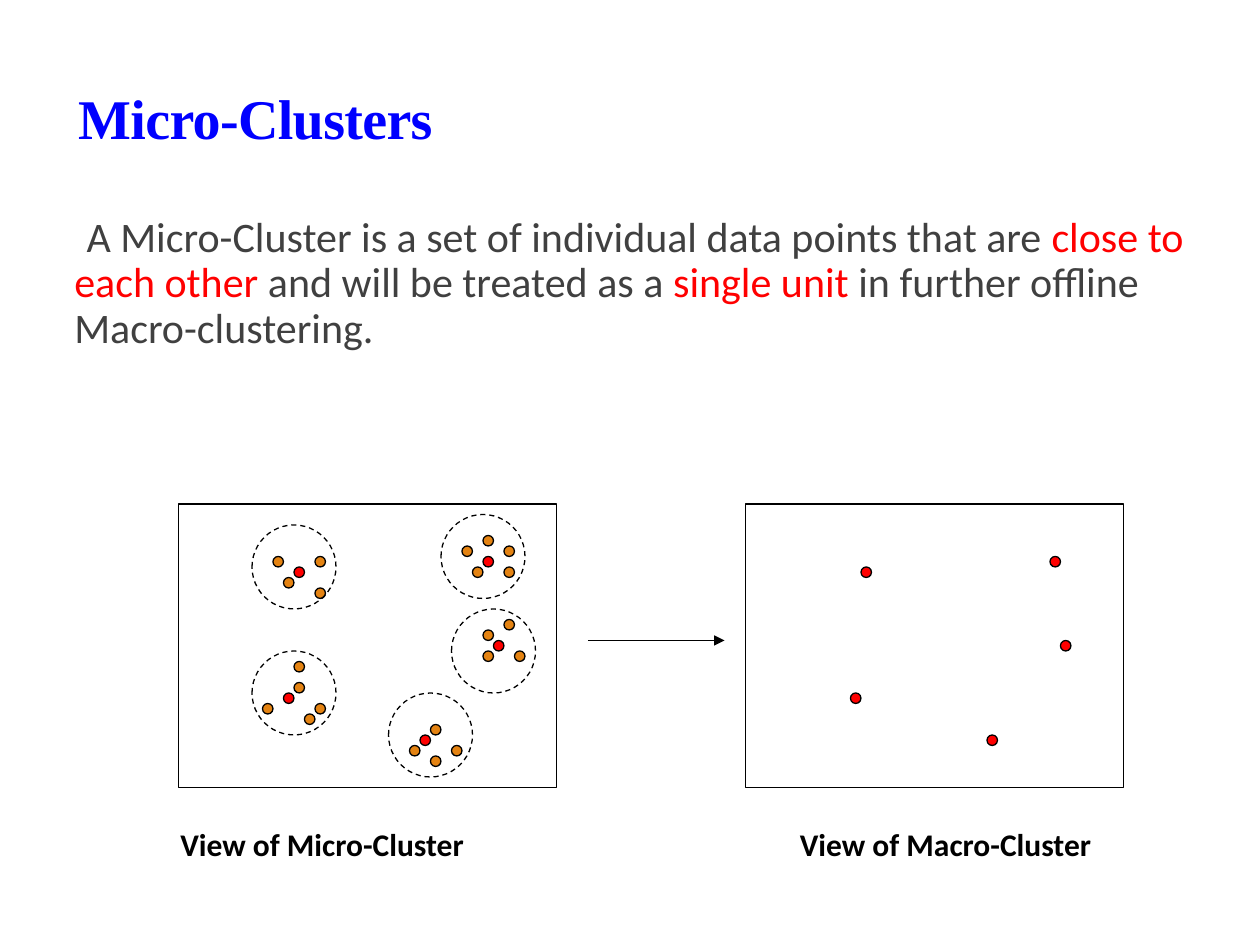
from dataclasses import dataclass

from lxml import etree
from pptx import Presentation
from pptx.dml.color import RGBColor
from pptx.enum import dml, shapes, text
from pptx.oxml import ns
from pptx.util import Pt


@dataclass(frozen=True)
class Theme:
    blue: str = "0000FF"
    red: str = "FF0000"
    amber: str = "E48312"
    gray: str = "404040"
    black: str = "000000"
    serif: str = "Times New Roman"
    sans: str = "Calibri"
    head: float = 32
    body: float = 24
    label: float = 18
    line: float = 0.75


THEME = Theme()
UNIT = 6  # grid step inside a panel, also the size of a dot
RING = 8 * UNIT
PANEL = (216, 162)

# ring corner, centre dot, data points: column and row on the panel grid
CLUSTERS = [
    ((7, 2), (11, 6), [(9, 5), (13, 5), (10, 7), (13, 8)]),
    ((25, 1), (29, 5), [(31, 4), (31, 6), (27, 4), (28, 6), (29, 3)]),
    ((26, 10), (30, 13), [(31, 11), (29, 14), (29, 12), (32, 14)]),
    ((7, 14), (10, 18), [(11, 17), (8, 19), (12, 20), (11, 15), (13, 19)]),
    ((20, 18), (23, 22), [(24, 24), (26, 23), (22, 23), (24, 21)]),
]


def color(code):
    return RGBColor.from_string(code)


def place(shape, box):
    shape.left, shape.top, shape.width, shape.height = map(Pt, box)


def write(frame, runs, size, font=THEME.sans, bold=False, lead=None):
    """Fill the first paragraph with (text, colour) runs and return it."""
    frame.word_wrap = True
    frame.auto_size = text.MSO_AUTO_SIZE.NONE
    para = frame.paragraphs[0]
    para.alignment = text.PP_ALIGN.LEFT
    if lead:
        para.line_spacing = lead
    for words, code in runs:
        run = para.add_run()
        run.text = words
        run.font.name, run.font.size, run.font.bold = font, Pt(size), bold
        run.font.color.rgb = color(code)
    return para


def draw(slide, kind, box, fill=None, dash=False):
    """Add an outlined shape, hollow unless a fill is given."""
    shape = slide.shapes.add_shape(kind, *map(Pt, box))
    shape.shadow.inherit = False
    if fill:
        shape.fill.solid()
        shape.fill.fore_color.rgb = color(fill)
    else:
        shape.fill.background()
    shape.line.color.rgb = color(THEME.black)
    shape.line.width = Pt(THEME.line)
    if dash:
        shape.line.dash_style = dml.MSO_LINE.DASH
    return shape


def title(slide, box):
    shape = slide.shapes.title
    place(shape, box)
    frame = shape.text_frame
    para = write(frame, [("Micro-Clusters", THEME.blue)], THEME.head,
                 font=THEME.serif, bold=True, lead=0.85)
    frame.vertical_anchor = text.MSO_ANCHOR.BOTTOM
    para.runs[0].font._element.set("spc", "-40")


def body(slide, box):
    frame = slide.shapes.add_textbox(*map(Pt, box)).text_frame
    frame.margin_left = frame.margin_right = 0
    para = write(frame, [
        ("A Micro-Cluster is a set of individual data points that are ", THEME.gray),
        ("close to each other", THEME.red),
        (" and will be treated as a ", THEME.gray),
        ("single unit", THEME.red),
        (" in further offline Macro-clustering.", THEME.gray),
    ], THEME.body, lead=0.9)
    para.space_before, para.space_after = Pt(9), Pt(1.5)
    props = para._p.get_or_add_pPr()
    props.set("marL", str(Pt(5)))
    props.set("indent", str(Pt(-5)))
    etree.SubElement(props, ns.qn("a:buChar")).set("char", " ")


def panel(slide, box, label, shift, full):
    """Draw a framed view; full adds the data points and rings."""
    left, top, width, height = box
    oval = shapes.MSO_SHAPE.OVAL

    def spot(cell, size=UNIT, **form):
        col, row = cell
        draw(slide, oval, (left + col * UNIT, top + row * UNIT, size, size), **form)

    draw(slide, shapes.MSO_SHAPE.RECTANGLE, box)
    for ring, core, points in CLUSTERS:
        if full:
            for point in points:
                spot(point, fill=THEME.amber)
            spot(ring, RING, dash=True)
        spot(core, fill=THEME.red)

    area = (left + shift, top + height + 18, width + 6, 29)
    frame = slide.shapes.add_textbox(*map(Pt, area)).text_frame
    write(frame, [(label, THEME.black)], THEME.label, bold=True)


def arrow(slide, start, end):
    link = slide.shapes.add_connector(
        shapes.MSO_CONNECTOR.STRAIGHT, *map(Pt, start + end))
    link.line.color.rgb = color(THEME.black)
    link.line.width = Pt(THEME.line)
    tail = etree.SubElement(link.line._get_or_add_ln(), ns.qn("a:tailEnd"))
    tail.set("type", "triangle")
    etree.SubElement(link._element.spPr, ns.qn("a:effectLst"))


def main():
    deck = Presentation()
    deck.slide_width, deck.slide_height = Pt(720), Pt(540)
    slide = deck.slides.add_slide(deck.slide_layouts[5])
    title(slide, (37.5, 40.5, 594, 49.5))
    body(slide, (37.5, 120, 642, 144))
    panel(slide, (102, 288, *PANEL), "View of Micro-Cluster", -6, True)
    arrow(slide, (336, 366), (414, 366))
    panel(slide, (426, 288, *PANEL), "View of Macro-Cluster", 24, False)
    deck.save("out.pptx")


if __name__ == "__main__":
    main()
